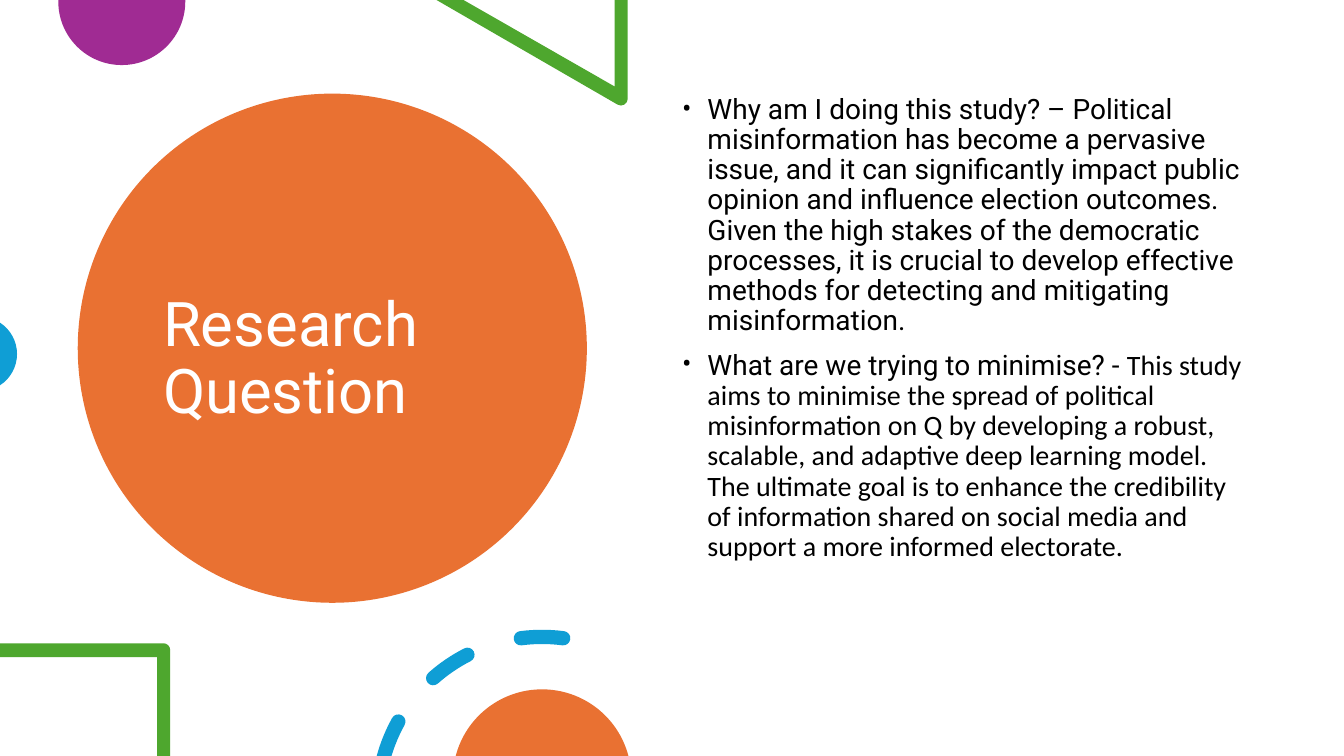
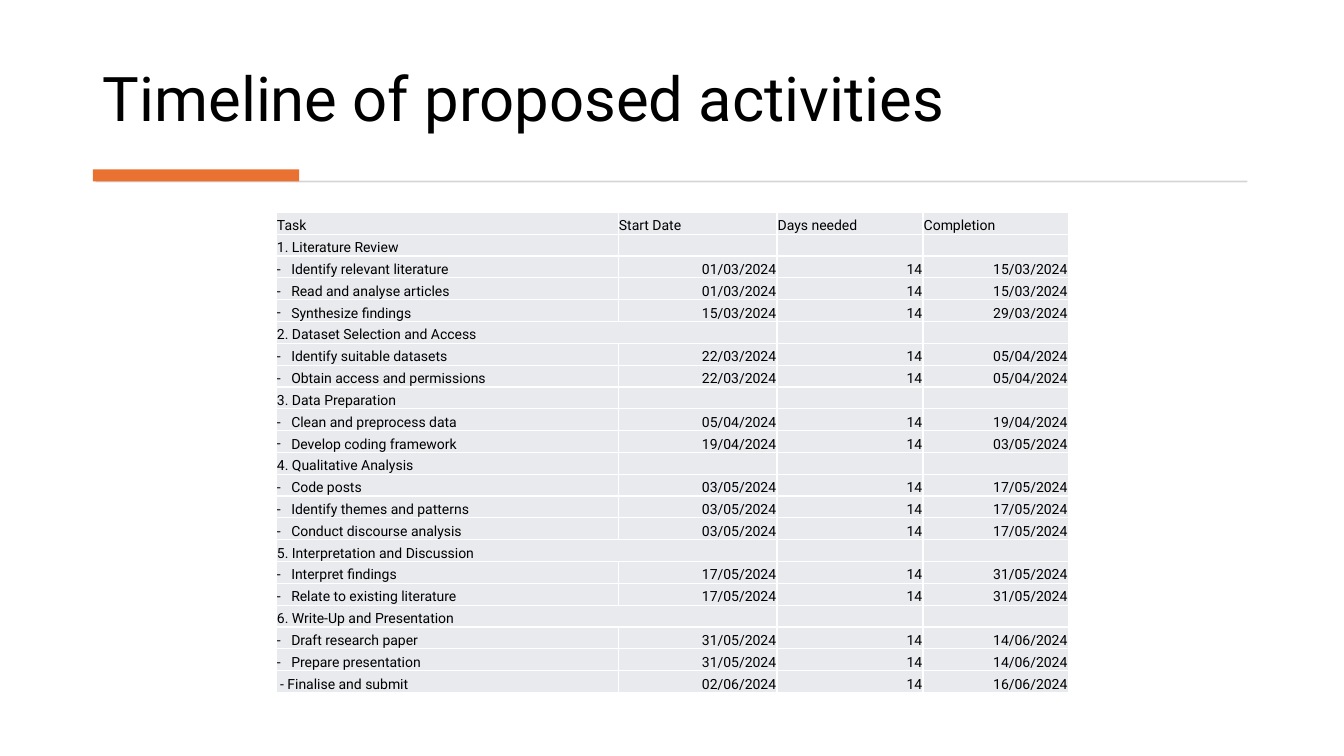
"""Build a research question slide and a timeline slide."""
import dataclasses
import math

import lxml.etree
import pptx
import pptx.dml.color
import pptx.enum.shapes
import pptx.enum.text
import pptx.oxml.ns
import pptx.util

Cm = pptx.util.Cm
Pt = pptx.util.Pt
RGB = pptx.dml.color.RGBColor.from_string
Kind = pptx.enum.shapes.MSO_SHAPE
Anchor = pptx.enum.text.MSO_ANCHOR
Align = pptx.enum.text.PP_ALIGN
qn = pptx.oxml.ns.qn


@dataclasses.dataclass(frozen=True)
class Theme:
    orange: str = "E97132"
    purple: str = "A02B93"
    green: str = "4EA72E"
    blue: str = "0F9ED5"
    rule: str = "D5D5D5"
    cell: str = "E8EAED"
    black: str = "000000"
    white: str = "FFFFFF"
    font: str = "Roboto"
    second: str = "Calibri"
    title: int = 44
    body: int = 20
    small: int = 10
    spacing: float = 0.9


theme = Theme()


def arc(x, y, radius, start, end):
    """Return a start point, then curves of three points, along a circle."""
    count = math.ceil(abs(end - start) / 90)
    step = math.radians(end - start) / count
    pull = 4 / 3 * math.tan(step / 4)
    steps = []
    for i in range(count + 1):
        turn = math.radians(start) + step * i
        cos, sin = radius * math.cos(turn), radius * math.sin(turn)
        spot = (x + cos, y - sin)
        if i:
            enter = (spot[0] + pull * sin, spot[1] + pull * cos)
            steps.append([leave, enter, spot])
        else:
            steps.append([spot])
        leave = (spot[0] - pull * sin, spot[1] - pull * cos)
    return steps


def bullet(par, mark, indent):
    """Give a paragraph a hanging bullet."""
    props = par._p.get_or_add_pPr()
    props.set("marL", str(Cm(indent)))
    props.set("indent", str(-Cm(indent)))
    lxml.etree.SubElement(props, qn("a:buFont"), typeface=theme.font)
    lxml.etree.SubElement(props, qn("a:buChar"), char=mark)


deck = pptx.Presentation()
deck.slide_width = Cm(33.87)
deck.slide_height = Cm(19.05)
blank = deck.slide_layouts[6]
question = deck.slides.add_slide(blank)
timeline = deck.slides.add_slide(blank)

solids = []
for slide, kind, box, color in [
    (question, Kind.OVAL, (1.96, 2.36, 12.83, 12.83), theme.orange),
    (timeline, Kind.RECTANGLE, (2.41, 4.55, 29.03, 0.05), theme.rule),
    (timeline, Kind.RECTANGLE, (2.34, 4.27, 5.2, 0.3), theme.orange),
]:
    solids.append((slide.shapes.add_shape(kind, *map(Cm, box)), color))

hub, ring, half = (13.66, 20.19), 4.14, 0.18
dashes = []
for start, outer, inner in [
    (151, 164.7, 163.3), (117, 131.5, 131.5), (82.6, 97.4, 97.4),
]:
    first = arc(*hub, ring, start, outer)[0][0]
    last = arc(*hub, ring, start, outer)[-1][-1]
    cap = arc(*last, half, outer, outer + 180)[1:] if outer == inner else []
    back = arc(*hub, ring - half, inner, start)
    dashes.append(
        arc(*hub, ring + half, start, outer)
        + cap + (back[1:] if cap else back)
        + arc(*first, half, start + 180, start + 360)[1:]
    )

bottom = 19.05
corner = [(15.82, 0), (15.49, 0), (15.49, 2.18), (11.68, 0), (11, 0)]
frame = [(0, 16.21), (0, 16.56), (3.96, 16.56), (3.96, bottom), (4.29, bottom)]
for color, outlines in [
    (theme.purple, [[[(4.67, 0)], [(1.47, 0)]]
                    + arc(3.07, 0.04, 1.6, 180, 360)]),
    (theme.green, [[[p] for p in corner] + arc(15.65, 2.49, 0.17, 240, 360)]),
    (theme.blue, [arc(-0.51, 8.92, 0.94, -57, 57)]),
    (theme.green, [[[p] for p in frame] + arc(4.12, 16.38, 0.17, 0, 90)]),
    (theme.blue, dashes),
    (theme.orange, [arc(13.66, 19.62, 2.25, 14.7, 165.3)]),
]:
    pen = None
    for outline in outlines:
        points = [(Cm(x), Cm(y)) for step in outline for x, y in step]
        if pen is None:
            pen = question.shapes.build_freeform(*points[0])
        else:
            pen.move_to(*points[0])
        pen.add_line_segments(points[1:], close=True)
    shape = pen.convert_to_shape()
    nodes = [node for node in shape._element.iter(qn("a:moveTo"), qn("a:lnTo"))]
    for outline in outlines:
        for step in outline:
            group, nodes = nodes[:len(step)], nodes[len(step):]
            if len(step) == 3:
                curve = lxml.etree.Element(qn("a:cubicBezTo"))
                group[0].addprevious(curve)
                for node in group:
                    curve.append(node[0])
                    node.getparent().remove(node)
        if nodes and nodes[0].tag == qn("a:lnTo"):
            nodes[0].getparent().remove(nodes[0])
            nodes = nodes[1:]
    solids.append((shape, color))

for shape, color in solids:
    shape.shadow.inherit = False
    shape.fill.solid()
    shape.fill.fore_color.rgb = RGB(color)
    shape.line.fill.background()

for slide, box, anchor, color, text in [
    (question, (3.86, 3.42, 8.99, 11.3), Anchor.MIDDLE, theme.white,
     "Research Question"),
    (timeline, (2.34, 0.71, 29.18, 2.82), Anchor.BOTTOM, theme.black,
     "Timeline of proposed activities"),
]:
    frame = slide.shapes.add_textbox(*map(Cm, box)).text_frame
    frame.word_wrap = True
    frame.vertical_anchor = anchor
    par = frame.paragraphs[0]
    par.text = text
    par.line_spacing = theme.spacing
    par.font.name = theme.font
    par.font.size = Pt(theme.title)
    par.font.color.rgb = RGB(color)

points = [
    [("Why am I doing this study? – Political misinformation has become a "
      "pervasive issue, and it can significantly impact public opinion and "
      "influence election outcomes. Given the high stakes of the democratic "
      "processes, it is crucial to develop effective methods for detecting "
      "and mitigating misinformation.", theme.font)],
    [("What are we trying to minimise? - ", theme.font),
     ("This study aims to minimise the spread of political misinformation on "
      "Q by developing a robust, scalable, and adaptive deep learning model. "
      "The ultimate goal is to enhance the credibility of information shared "
      "on social media and support a more informed electorate.",
      theme.second)],
]
body = question.shapes.add_textbox(Cm(16.94), Cm(2.27), Cm(14.61), Cm(13.59))
frame = body.text_frame
frame.word_wrap = True
for i, runs in enumerate(points):
    par = frame.add_paragraph() if i else frame.paragraphs[0]
    par.line_spacing = theme.spacing
    par.space_before = Pt(10 if i else 0)
    bullet(par, "•", 0.64)
    par.font.size = Pt(theme.body)
    par.font.color.rgb = RGB(theme.black)
    for text, font in runs:
        run = par.add_run()
        run.text = text
        run.font.name = font

days = "14"
rows = [
    ("Task", "Start Date", "Days needed", "Completion"),
    ("1. Literature Review",),
    ("Identify relevant literature", "01/03/2024", days, "15/03/2024"),
    ("Read and analyse articles", "01/03/2024", days, "15/03/2024"),
    ("Synthesize findings", "15/03/2024", days, "29/03/2024"),
    ("2. Dataset Selection and Access",),
    ("Identify suitable datasets", "22/03/2024", days, "05/04/2024"),
    ("Obtain access and permissions", "22/03/2024", days, "05/04/2024"),
    ("3. Data Preparation",),
    ("Clean and preprocess data", "05/04/2024", days, "19/04/2024"),
    ("Develop coding framework", "19/04/2024", days, "03/05/2024"),
    ("4. Qualitative Analysis",),
    ("Code posts", "03/05/2024", days, "17/05/2024"),
    ("Identify themes and patterns", "03/05/2024", days, "17/05/2024"),
    ("Conduct discourse analysis", "03/05/2024", days, "17/05/2024"),
    ("5. Interpretation and Discussion",),
    ("Interpret findings", "17/05/2024", days, "31/05/2024"),
    ("Relate to existing literature", "17/05/2024", days, "31/05/2024"),
    ("6. Write-Up and Presentation",),
    ("Draft research paper", "31/05/2024", days, "14/06/2024"),
    ("Prepare presentation", "31/05/2024", days, "14/06/2024"),
    ("- Finalise and submit", "02/06/2024", days, "16/06/2024"),
]
widths = [8.62, 4, 3.68, 3.66]
height = 0.55
table = timeline.shapes.add_table(
    len(rows), len(widths), Cm(6.96), Cm(5.35),
    Cm(sum(widths)), Cm(height * len(rows))).table
table.first_row = False
table.horz_banding = False
for column, width in zip(table.columns, widths):
    column.width = Cm(width)

for i, row in enumerate(rows):
    table.rows[i].height = Cm(height)
    for j in range(len(widths)):
        cell = table.cell(i, j)
        cell.margin_left = cell.margin_right = cell.margin_top = Cm(0.02)
        cell.margin_bottom = 0
        cell.vertical_anchor = Anchor.BOTTOM
        props = cell._tc.get_or_add_tcPr()
        for side in ("a:lnL", "a:lnR", "a:lnT", "a:lnB"):
            line = lxml.etree.SubElement(props, qn(side), w=str(Pt(1)))
            fill = lxml.etree.SubElement(line, qn("a:solidFill"))
            lxml.etree.SubElement(fill, qn("a:srgbClr"), val=theme.white)
        cell.fill.solid()
        cell.fill.fore_color.rgb = RGB(theme.cell)
        par = cell.text_frame.paragraphs[0]
        if j < len(row):
            par.text = row[j]
        else:
            lxml.etree.SubElement(
                par._p, qn("a:endParaRPr"), sz=str(theme.small * 100))
        if i and j:
            par.alignment = Align.RIGHT
        elif row[j].startswith("-"):
            par._p.get_or_add_pPr().set("marL", str(Cm(0.08)))
        elif i and len(row) > 1:
            bullet(par, "-", 0.36)
        par.font.name = theme.font
        par.font.size = Pt(theme.small)
        par.font.color.rgb = RGB(theme.black)
    if row[0][:2] in ("2.", "5.", "6."):
        table.cell(i, 0).merge(table.cell(i, 1))

deck.save("out.pptx")
